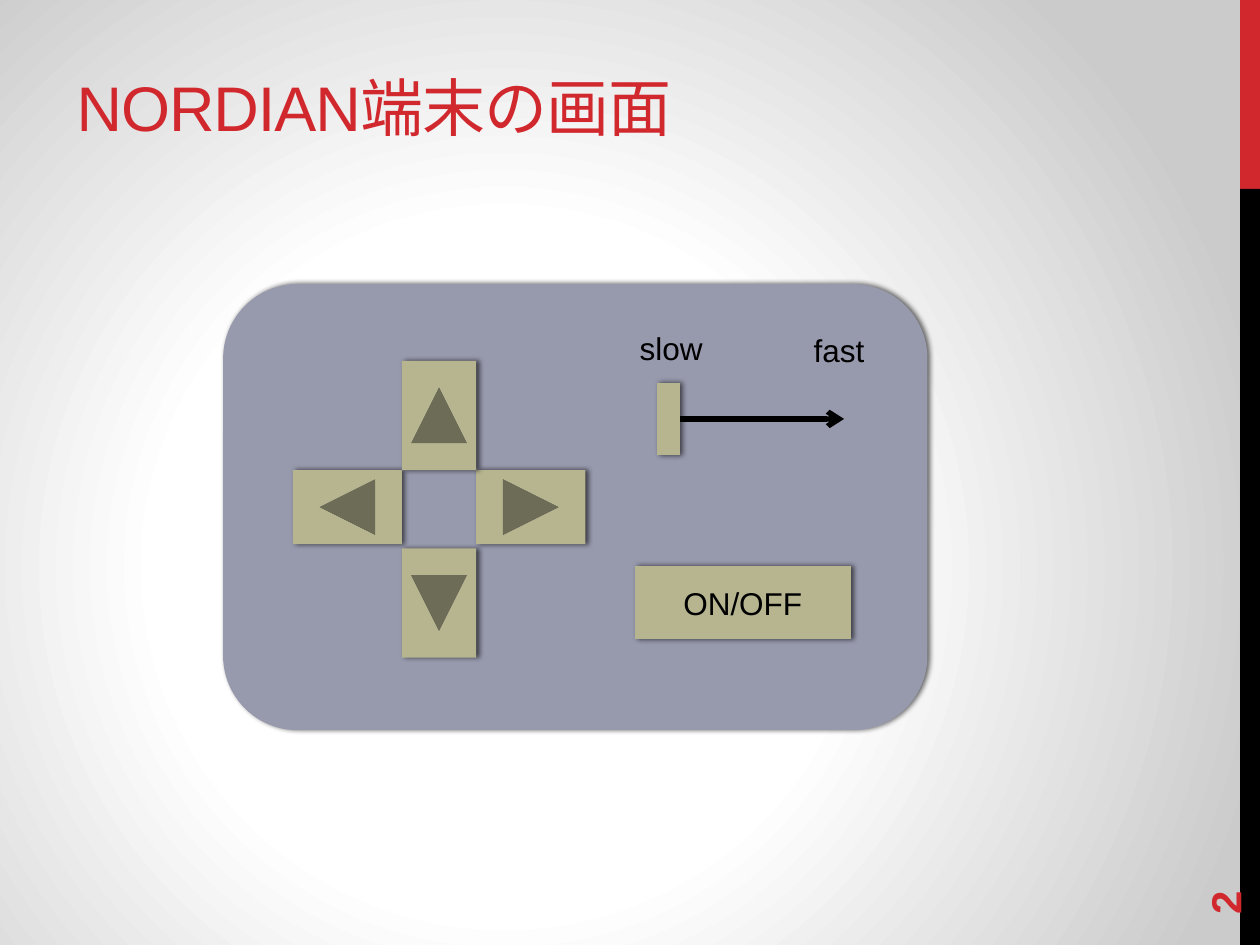
import pptx
import pptx.dml.color
import pptx.enum.shapes
import pptx.enum.text
import pptx.oxml
import pptx.oxml.ns
import pptx.util

Pt = pptx.util.Pt
SHAPES = pptx.enum.shapes.MSO_SHAPE
ANCHOR = pptx.enum.text.MSO_ANCHOR
ALIGN = pptx.enum.text.PP_ALIGN
NAMESPACE = pptx.oxml.ns.nsdecls("a")

RED, BLACK, PANEL, KEY = "D1282E", "000000", "9799AD", "B6B590"
SLIDE_WIDTH, SLIDE_HEIGHT = 720, 540


def color(hex_string):
    return pptx.dml.color.RGBColor.from_string(hex_string)


def add_solid(slide, kind, box, fill, shadow=True):
    shape = slide.shapes.add_shape(kind, *map(Pt, box))
    shape.fill.solid()
    shape.fill.fore_color.rgb = color(fill)
    shape.line.fill.background()
    shape.shadow.inherit = False
    if shadow:
        effects = shape.element.spPr.find(pptx.oxml.ns.qn("a:effectLst"))
        effects.append(pptx.oxml.parse_xml(
            f'<a:outerShdw {NAMESPACE} blurRad="{Pt(3)}" dist="{Pt(1.5)}" dir="0" '
            f'rotWithShape="0"><a:srgbClr val="{BLACK}"><a:alpha val="60000"/>'
            '</a:srgbClr></a:outerShdw>'))
    return shape


def format_run(run, size, fill, bold=False, name="Arial"):
    run.font.name = name
    run.font.size = Pt(size)
    run.font.bold = bold
    run.font.color.rgb = color(fill)


def add_text(slide, box, text, size=18, fill=BLACK, bold=False, anchor=ANCHOR.TOP):
    shape = slide.shapes.add_textbox(*map(Pt, box))
    frame = shape.text_frame
    frame.word_wrap = True
    frame.vertical_anchor = anchor
    frame.text = text
    format_run(frame.paragraphs[0].runs[0], size, fill, bold)
    return shape


def set_background(slide):
    """Radial gradient, white around a centre left of and below the middle."""
    slide.background.fill.gradient()
    gradient = slide.element.find(".//" + pptx.oxml.ns.qn("a:gradFill"))
    stops = "".join(
        f'<a:gs pos="{position * 1000}"><a:srgbClr val="{value}"/></a:gs>'
        for position, value in ((0, "FFFFFF"), (44, "FFFFFF"), (100, "CBCBCB")))
    gradient.getparent().replace(gradient, pptx.oxml.parse_xml(
        f'<a:gradFill {NAMESPACE} rotWithShape="1"><a:gsLst>{stops}</a:gsLst>'
        '<a:path path="circle"><a:fillToRect l="40000" t="60000" r="60000" b="40000"/>'
        '</a:path></a:gradFill>'))


def add_side_bar(slide, left, top, width, height):
    red_height = height / 5
    add_solid(slide, SHAPES.RECTANGLE, (left, top, width, red_height), RED, shadow=False)
    add_solid(slide, SHAPES.RECTANGLE,
              (left, top + red_height, width, height - red_height), BLACK, shadow=False)


def add_title(slide, box):
    title = add_text(slide, box, "NORDIAN", 36, RED, anchor=ANCHOR.BOTTOM)
    paragraph = title.text_frame.paragraphs[0]
    japanese = paragraph.add_run()
    japanese.text = "端末の画面"
    format_run(japanese, 36, RED, name="Montserrat")
    for run in paragraph.runs:
        properties = run._r.get_or_add_rPr()
        properties.set("spc", "-60")
        properties.append(
            pptx.oxml.parse_xml(f'<a:ea {NAMESPACE} typeface="Montserrat"/>'))


def add_direction_pad(slide, left, top, width, height):
    """Four arrow keys; the side keys start level with the end of the up key."""
    length, breadth = 62.4, 42.4
    center_x = left + width / 2
    side_y = top + length + breadth / 2
    keys = (
        (left + length / 2, side_y, 0),
        (left + width - length / 2, side_y, 180),
        (center_x, top + height - length / 2, 270),
        (center_x, top + length / 2, 90),
    )
    for x, y, rotation in keys:
        key = add_solid(slide, SHAPES.ACTION_BUTTON_BACK_OR_PREVIOUS,
                        (x - length / 2, y - breadth / 2, length, breadth), KEY)
        key.rotation = rotation


def add_speed_slider(slide, left, top):
    handle_left, handle_top = left + 17, top + 34.2
    handle_width, handle_height = 12.96, 41.04
    add_solid(slide, SHAPES.ACTION_BUTTON_CUSTOM,
              (handle_left, handle_top, handle_width, handle_height), KEY)
    add_text(slide, (left, top, 72, 28.8), "slow")
    add_text(slide, (left + 99.36, top + 1.08, 49.68, 28.8), "fast")

    start = handle_left + handle_width
    middle = handle_top + handle_height / 2
    arrow = slide.shapes.add_connector(
        pptx.enum.shapes.MSO_CONNECTOR.STRAIGHT,
        *map(Pt, (start, middle, start + 93.9, middle)))
    arrow.line.color.rgb = color(BLACK)
    arrow.line.width = Pt(3)
    line = arrow._element.spPr.find(pptx.oxml.ns.qn("a:ln"))
    line.append(pptx.oxml.parse_xml(f'<a:tailEnd {NAMESPACE} type="arrow"/>'))
    arrow._element.spPr.append(pptx.oxml.parse_xml(f"<a:effectLst {NAMESPACE}/>"))


def add_power_button(slide, box):
    button = add_solid(slide, SHAPES.ACTION_BUTTON_CUSTOM, box, KEY)
    frame = button.text_frame
    frame.vertical_anchor = ANCHOR.MIDDLE
    frame.text = "ON/OFF"
    frame.paragraphs[0].alignment = ALIGN.CENTER
    format_run(frame.paragraphs[0].runs[0], 18, BLACK)


def add_controller(slide, left, top, width, height):
    add_solid(slide, SHAPES.ROUNDED_RECTANGLE, (left, top, width, height), PANEL)
    add_direction_pad(slide, left + 39.8, top + 43.84, 167.2, 169.6)
    add_speed_slider(slide, left + 231, top + 22.32)
    add_power_button(slide, (left + 235.2, top + 161.1, 123.6, 41.8))


def add_page_number(slide, box):
    number = add_text(slide, box, "2", 24, RED, bold=True, anchor=ANCHOR.MIDDLE)
    number.rotation = 270


def main():
    presentation = pptx.Presentation()
    presentation.slide_width = Pt(SLIDE_WIDTH)
    presentation.slide_height = Pt(SLIDE_HEIGHT)
    slide = presentation.slides.add_slide(presentation.slide_layouts[6])
    set_background(slide)
    add_side_bar(slide, 708.6, 0, SLIDE_WIDTH - 708.6, SLIDE_HEIGHT)
    add_title(slide, (36.72, 31.68, 455.76, 54))
    add_controller(slide, 127.5, 162.36, 402.48, 254.88)
    add_page_number(slide, (648, 463.68, 103.68, 28.8))
    presentation.save("out.pptx")


if __name__ == "__main__":
    main()
